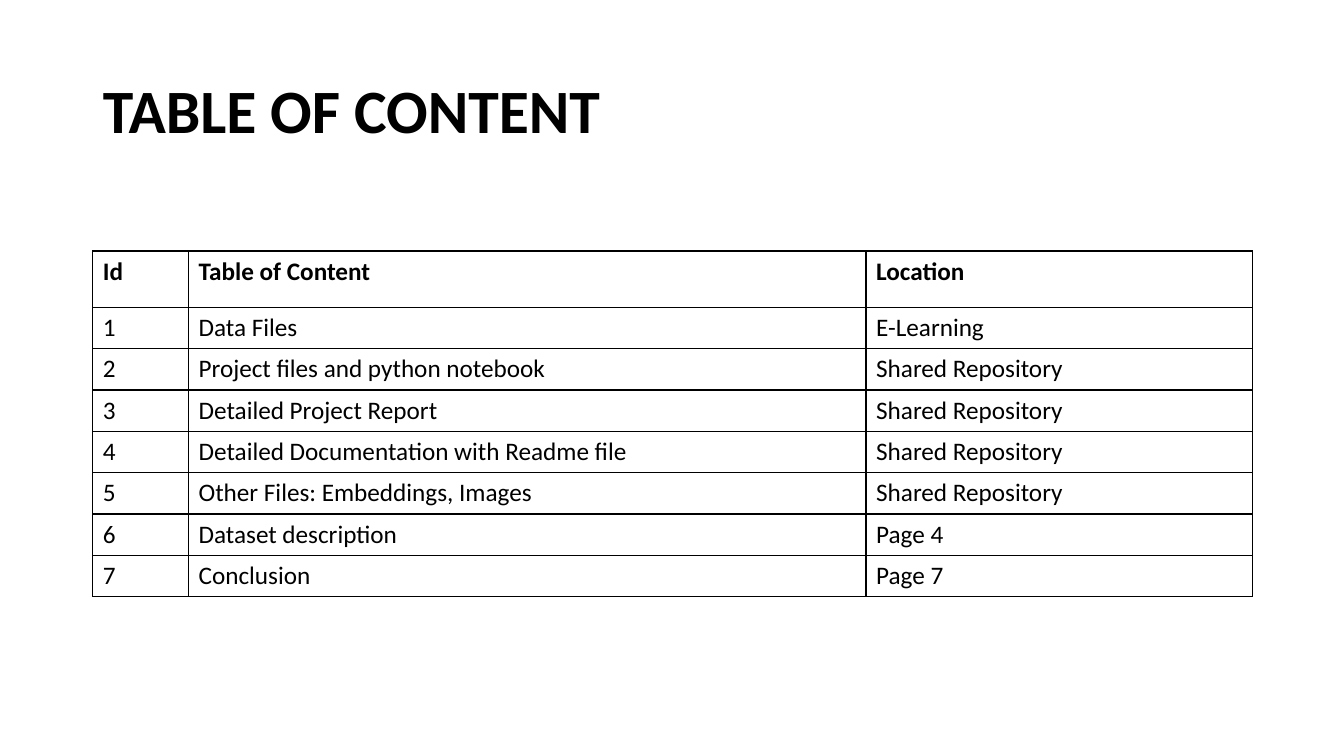
from dataclasses import dataclass

from lxml.etree import SubElement
from pptx import Presentation
from pptx.dml.color import RGBColor
from pptx.enum.text import MSO_ANCHOR, PP_ALIGN
from pptx.oxml.ns import qn
from pptx.slide import Slide
from pptx.table import _Cell
from pptx.text.text import TextFrame
from pptx.util import Inches, Pt

WIDTH, HEIGHT = 13.33, 7.5
LEFT, SPAN = 0.92, 11.5
TITLE_TOP, TITLE_HEIGHT = 0.4, 1.45
TABLE_TOP, HEADER_HEIGHT, ROW_HEIGHT = 2.49, 0.56, 0.41
INK = "000000"
TITLE_FONT = {"name": "Calibri", "size": Pt(44), "bold": True}
HEADER_FONT = {"name": "Calibri", "size": Pt(18), "bold": True}
BODY_FONT = HEADER_FONT | {"bold": False}


@dataclass(frozen=True)
class Column:
    heading: str
    width: float


@dataclass(frozen=True)
class Entry:
    topic: str
    location: str


COLUMNS = [Column("Id", 0.95), Column("Table of Content", 6.72), Column("Location", 3.83)]
ENTRIES = [
    Entry("Data Files", "E-Learning"),
    Entry("Project files and python notebook", "Shared Repository"),
    Entry("Detailed Project Report", "Shared Repository"),
    Entry("Detailed Documentation with Readme file", "Shared Repository"),
    Entry("Other Files: Embeddings, Images", "Shared Repository"),
    Entry("Dataset description", "Page 4"),
    Entry("Conclusion", "Page 7"),
]


def color(value: str) -> RGBColor:
    return RGBColor.from_string(value)


def write(tf: TextFrame, text: str, font: dict) -> None:
    p = tf.paragraphs[0]
    p.alignment = PP_ALIGN.LEFT
    r = p.add_run()
    r.text = text
    for name, value in font.items():
        setattr(r.font, name, value)
    r.font.color.rgb = color(INK)


def add_borders(cell: _Cell) -> None:
    tc_pr = cell._tc.get_or_add_tcPr()
    for index, side in enumerate(("lnL", "lnR", "lnT", "lnB")):
        ln = SubElement(tc_pr, qn(f"a:{side}"), w=str(Pt(1)))
        fill = SubElement(ln, qn("a:solidFill"))
        SubElement(fill, qn("a:srgbClr"), val=INK)
        tc_pr.insert(index, ln)


def add_title(s: Slide, text: str) -> None:
    sp = s.shapes.title
    sp.left, sp.top = Inches(LEFT), Inches(TITLE_TOP)
    sp.width, sp.height = Inches(SPAN), Inches(TITLE_HEIGHT)
    tf = sp.text_frame
    tf.word_wrap = True
    tf.vertical_anchor = MSO_ANCHOR.MIDDLE
    write(tf, text, TITLE_FONT)
    tf.paragraphs[0].line_spacing = 0.9


def add_contents(s: Slide) -> None:
    rows = [[column.heading for column in COLUMNS]]
    rows += [[str(n), e.topic, e.location] for n, e in enumerate(ENTRIES, 1)]
    height = HEADER_HEIGHT + ROW_HEIGHT * len(ENTRIES)
    table = s.shapes.add_table(len(rows), len(COLUMNS), Inches(LEFT), Inches(TABLE_TOP),
                               Inches(SPAN), Inches(height)).table
    table.first_row = table.horz_banding = False
    for col, column in zip(table.columns, COLUMNS):
        col.width = Inches(column.width)
    for i, texts in enumerate(rows):
        table.rows[i].height = Inches(ROW_HEIGHT if i else HEADER_HEIGHT)
        for j, text in enumerate(texts):
            cell = table.cell(i, j)
            cell.fill.background()
            add_borders(cell)
            write(cell.text_frame, text, BODY_FONT if i else HEADER_FONT)


def main() -> None:
    """Build the table of content slide and save it."""
    prs = Presentation()
    prs.slide_width, prs.slide_height = Inches(WIDTH), Inches(HEIGHT)
    s = prs.slides.add_slide(prs.slide_layouts[5])
    add_title(s, "TABLE OF CONTENT")
    add_contents(s)
    prs.save("out.pptx")


if __name__ == "__main__":
    main()
